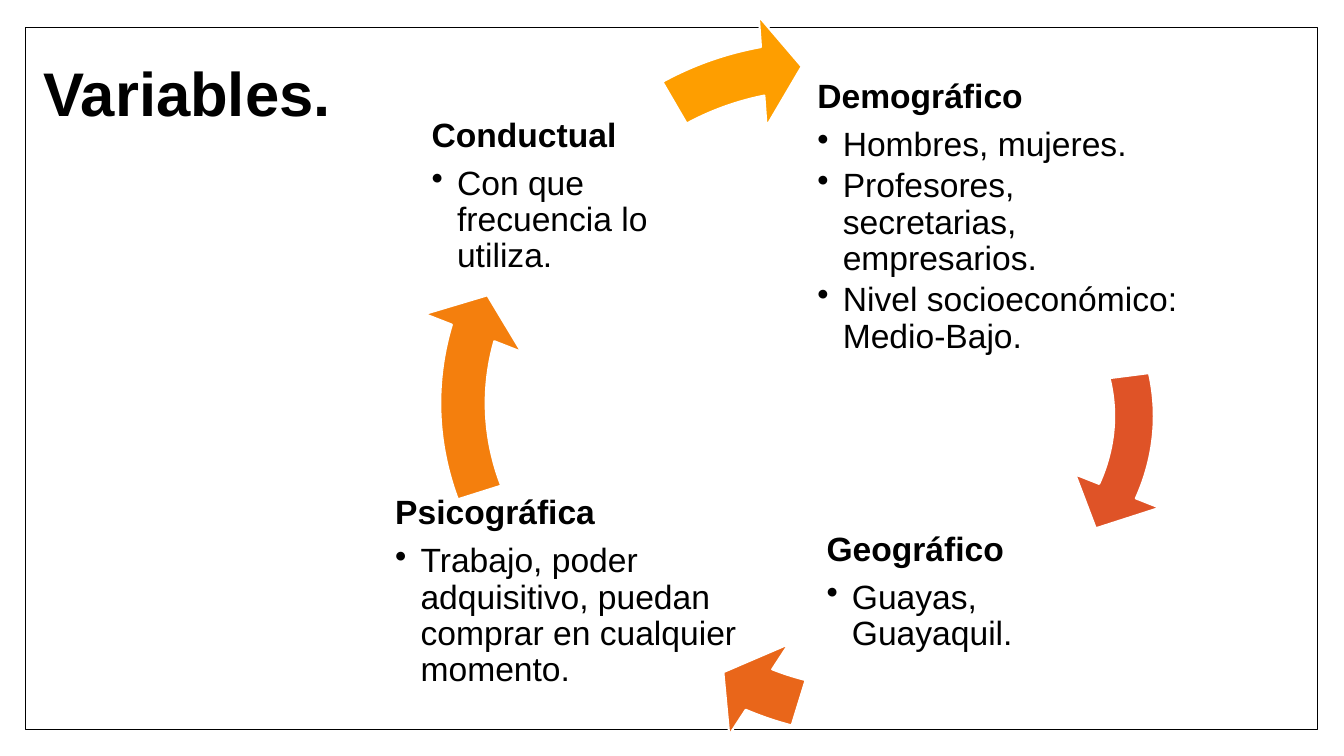
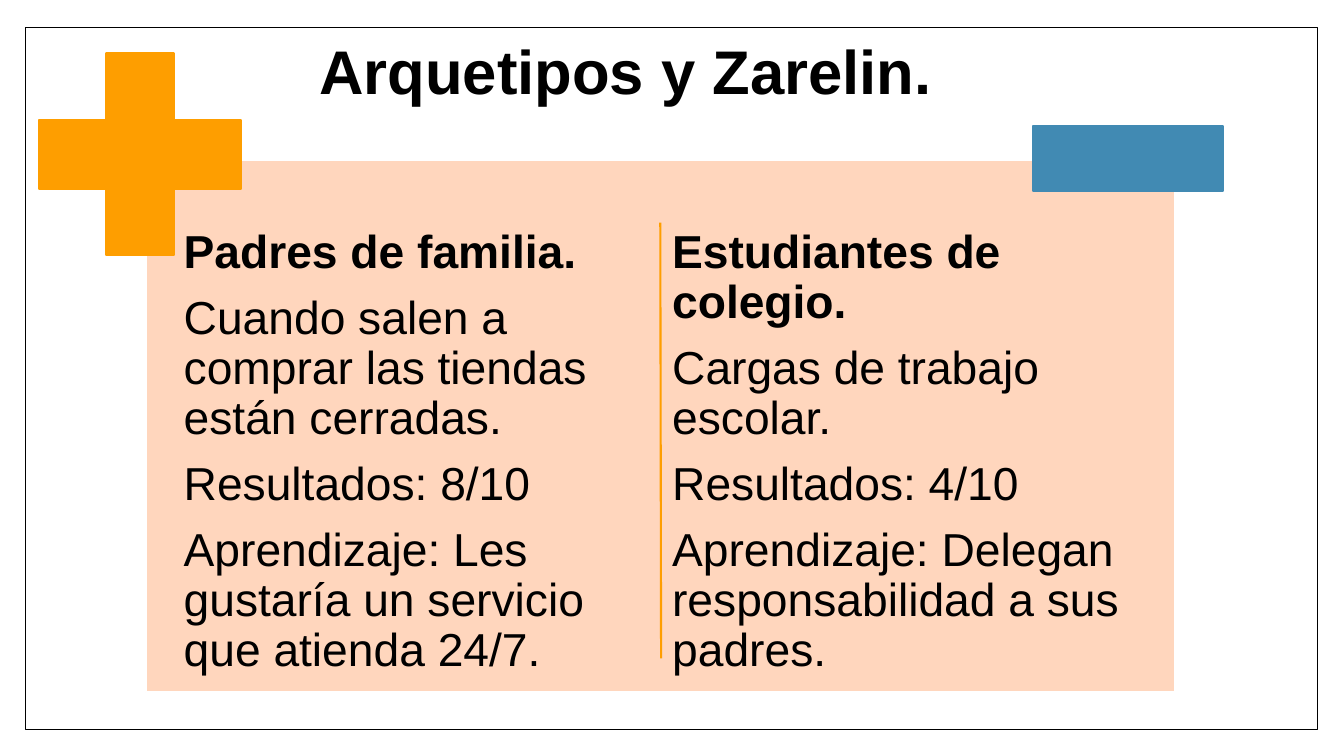
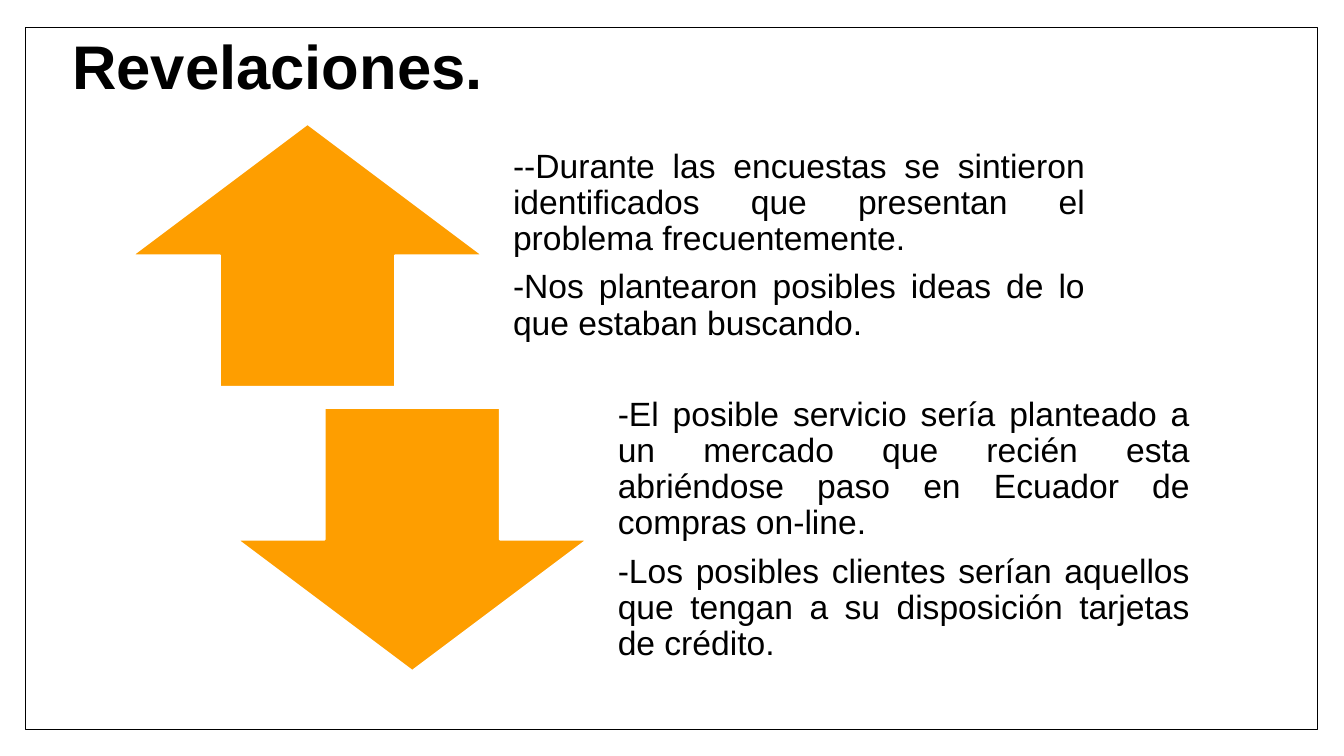
from dataclasses import dataclass
from lxml.etree import SubElement
from pptx import Presentation
from pptx.dml.color import RGBColor
from pptx.enum.shapes import MSO_CONNECTOR, MSO_SHAPE
from pptx.enum.text import MSO_ANCHOR, PP_ALIGN
from pptx.oxml.ns import qn
from pptx.util import Cm, Pt


@dataclass(frozen=True)
class Theme:
    font: str = "Arial"
    ink: str = "000000"
    paper: str = "FFFFFF"
    amber: str = "FE9E00"
    orange: str = "F47F0D"
    rust: str = "E9661A"
    red: str = "DF5327"
    peach: str = "FFD6BD"
    blue: str = "418AB3"
    title: int = 44
    large: int = 33
    body: int = 24
    edge: float = 1.5


T = Theme()
FRAME = (0.64, 0.69, 32.56, 17.7)

# Each part of the cycle: heading, bullets, text box,
# then arrow box, turn, colour and (tip, tail) angles
CYCLE = [
    ("Demográfico",
     ["Hombres, mujeres.", "Profesores, secretarias, empresarios.",
      "Nivel socioeconómico: Medio-Bajo."],
     (20.52, 2.18, 9.53, 6.6),
     (11.18, 3.35, 18.54, 14.27), 0, T.red, (8.27, 211.65)),
    ("Geográfico", ["Guayas, Guayaquil."],
     (20.75, 12.29, 7.52, 5.28),
     (13.31, 2.21, 17.93, 17.09), 347, T.rust, (77.06, 72.1)),
    ("Psicográfica",
     ["Trabajo, poder adquisitivo, puedan comprar en cualquier momento."],
     (9.88, 12.29, 9.32, 5.28),
     (10.36, 1.98, 17.73, 16.36), 0, T.orange, (116.17, 97.5)),
    ("Conductual", ["Con que frecuencia lo utiliza."],
     (10.8, 2.31, 7.52, 5.28),
     (11.81, 0.28, 17.81, 17.37), 8.6, T.amber, (149.77, 138.7)),
]

GROUPS = [
    ("Padres de familia.",
     ["Cuando salen a comprar las tiendas están cerradas.",
      "Resultados: 8/10",
      "Aprendizaje: Les gustaría un servicio que atienda 24/7."]),
    ("Estudiantes de colegio.",
     ["Cargas de trabajo escolar.",
      "Resultados: 4/10",
      "Aprendizaje: Delegan responsabilidad a sus padres."]),
]

FINDINGS = [
    (MSO_SHAPE.UP_ARROW,
     ["--Durante las encuestas se sintieron identificados que presentan "
      "el problema frecuentemente.",
      "-Nos plantearon posibles ideas de lo que estaban buscando."]),
    (MSO_SHAPE.DOWN_ARROW,
     ["-El posible servicio sería planteado a un mercado que recién esta "
      "abriéndose paso en Ecuador de compras on-line.",
      "-Los posibles clientes serían aquellos que tengan a su disposición "
      "tarjetas de crédito."]),
]


def rgb(code):
    return RGBColor.from_string(code)


def place(box):
    return [Cm(n) for n in box]


def draw(slide, kind, box, fill, line, width=T.edge, adjust=()):
    shape = slide.shapes.add_shape(kind, *place(box))
    shape.shadow.inherit = False
    shape.fill.solid()
    shape.fill.fore_color.rgb = rgb(fill)
    shape.line.color.rgb = rgb(line)
    shape.line.width = Pt(width)
    for i, value in enumerate(adjust):
        shape.adjustments[i] = value
    return shape


def frame_text(slide, box, insets, anchor):
    frame = slide.shapes.add_textbox(*place(box)).text_frame
    frame.word_wrap = True
    frame.vertical_anchor = anchor
    (frame.margin_left, frame.margin_top,
     frame.margin_right, frame.margin_bottom) = place(insets)
    return frame


def bullet(para):
    para.level = 1
    props = para._p.get_or_add_pPr()
    props.set("marL", str(Cm(0.64)))
    props.set("indent", str(-Cm(0.64)))
    SubElement(props, qn("a:buChar")).set("char", "•")


def write(frame, lines, size, bold=False, dots=False, align=PP_ALIGN.LEFT,
          after=0.35):
    """Add paragraphs; the space after is a share of the type size."""
    for line in lines:
        first = frame.paragraphs[0]
        para = frame.add_paragraph() if first.runs else first
        para.text = line
        if dots:
            bullet(para)
        para.alignment = align
        para.line_spacing = 0.9
        para.space_after = Pt(round(size * after, 1))
        for run in para.runs:
            run.font.name = T.font
            run.font.size = Pt(size)
            run.font.bold = bold
            run.font.color.rgb = rgb(T.ink)


def start(deck, title, box, anchor=MSO_ANCHOR.TOP):
    """Add a slide with the shared frame and title."""
    slide = deck.slides.add_slide(deck.slide_layouts[6])
    draw(slide, MSO_SHAPE.RECTANGLE, FRAME, T.paper, T.ink, 1)
    frame = frame_text(slide, box, (0.25, 0.13, 0.25, 0.13), anchor)
    write(frame, [title], T.title, bold=True, after=0)
    return slide


def cycle(deck):
    slide = start(deck, "Variables.", (0.84, 1.47, 7.92, 5.41))
    for head, items, box, ring, turn, fill, (tip, tail) in CYCLE:
        frame = frame_text(slide, box, [0.08] * 4, MSO_ANCHOR.MIDDLE)
        write(frame, [head], T.body, bold=True)
        write(frame, items, T.body, dots=True, after=0.15)
        arrow = draw(slide, MSO_SHAPE.CIRCULAR_ARROW, ring, fill, T.paper,
                     adjust=(0.07, 4.66, tip, tail, 0.08))
        arrow.rotation = turn


def compare(deck):
    slide = start(deck, "Arquetipos y Zarelin.", (7.8, 0, 25.9, 3.76),
                  MSO_ANCHOR.MIDDLE)
    draw(slide, MSO_SHAPE.RECTANGLE, (3.68, 4.04, 25.93, 13.41),
         T.peach, T.paper)
    for i, (head, lines) in enumerate(GROUPS):
        frame = frame_text(slide, (4.45 + 12.31 * i, 5.59, 12.04, 11.48),
                           [0.18] * 4, MSO_ANCHOR.TOP)
        write(frame, [head], T.large, bold=True)
        write(frame, lines, T.large)
    draw(slide, MSO_SHAPE.CROSS, (0.99, 1.35, 5.08, 5.08),
         T.amber, T.amber, adjust=[0.33])
    draw(slide, MSO_SHAPE.RECTANGLE, (26.04, 3.18, 4.78, 1.63),
         T.blue, T.blue)
    rule = slide.shapes.add_connector(
        MSO_CONNECTOR.STRAIGHT, *place((16.64, 5.61, 16.66, 16.59)))
    rule.line.color.rgb = rgb(T.amber)
    rule.line.width = Pt(T.edge)
    SubElement(rule._element.spPr, qn("a:effectLst"))


def reveal(deck):
    slide = start(deck, "Revelaciones.", (1.57, 0.79, 27.43, 3.76))
    for i, (kind, lines) in enumerate(FINDINGS):
        shift, top = 2.64 * i, 3.12 + 7.16 * i
        draw(slide, kind, (3.33 + shift, top, 8.84, 6.63), T.amber, T.paper)
        frame = frame_text(slide, (12.45 + shift, top, 15.37, 6.63),
                           (0.48, 0, 0.48, 0.48), MSO_ANCHOR.MIDDLE)
        write(frame, lines, T.body, align=PP_ALIGN.JUSTIFY)


def main():
    deck = Presentation()
    deck.slide_width, deck.slide_height = Cm(33.87), Cm(19.05)
    for build in (cycle, compare, reveal):
        build(deck)
    deck.save("out.pptx")


if __name__ == "__main__":
    main()
